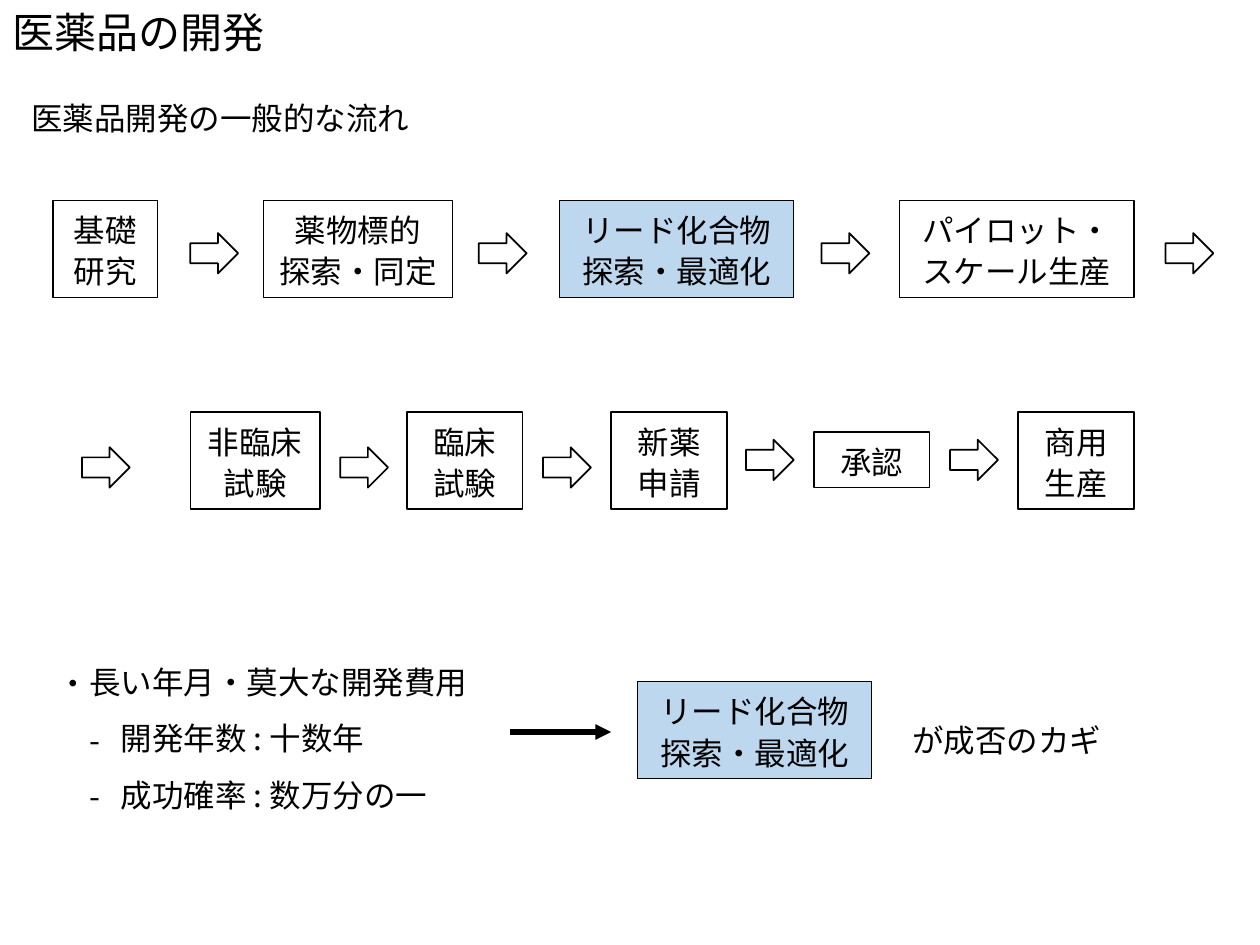
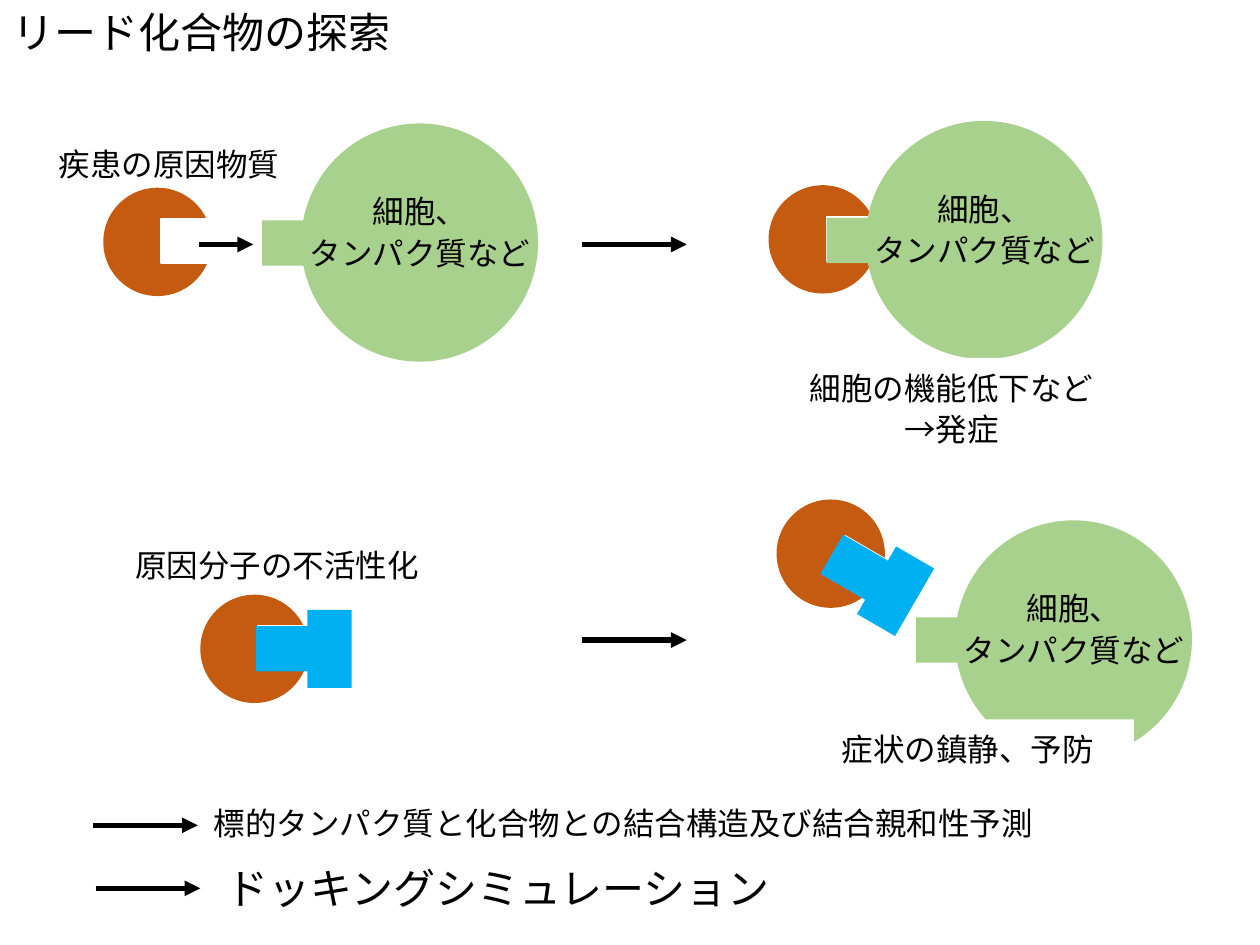
"""Build two slides on drug development and the search for lead compounds."""
from dataclasses import dataclass

from lxml.etree import SubElement
from pptx import Presentation
from pptx.dml.color import RGBColor
from pptx.enum.shapes import MSO_CONNECTOR, MSO_SHAPE
from pptx.enum.text import MSO_ANCHOR, MSO_AUTO_SIZE, PP_ALIGN
from pptx.oxml.ns import qn
from pptx.util import Inches, Pt


@dataclass(frozen=True)
class Theme:
    font: str = "Noto Sans CJK JP"
    title_size: Pt = Pt(24)
    text_size: Pt = Pt(18)
    line_spacing: Pt = Pt(23.6)
    ink: RGBColor = RGBColor(0x00, 0x00, 0x00)
    paper: RGBColor = RGBColor(0xFF, 0xFF, 0xFF)
    highlight: RGBColor = RGBColor(0xBD, 0xD7, 0xEE)
    cause: RGBColor = RGBColor(0xC5, 0x5A, 0x11)
    cell: RGBColor = RGBColor(0xA9, 0xD1, 0x8E)
    drug: RGBColor = RGBColor(0x00, 0xB0, 0xF0)


class Deck:
    def __init__(self, theme):
        self.theme = theme
        self.presentation = Presentation()
        self.presentation.slide_width = Inches(10)
        self.presentation.slide_height = Inches(7.5)
        self.slide = None

    def new_slide(self, layout_index, title, title_width):
        layout = self.presentation.slide_layouts[layout_index]
        self.slide = self.presentation.slides.add_slide(layout)
        shape = self.slide.shapes.title
        self.place(shape, 0, 0, title_width, 0.5)
        self.fill_text(shape, [title], size=self.theme.title_size, spacing=1.0, wrap=False)

    def place(self, shape, left, top, width, height):
        shape.left, shape.top = Inches(left), Inches(top)
        shape.width, shape.height = Inches(width), Inches(height)

    def fill_text(self, shape, lines, size=None, align=PP_ALIGN.LEFT, spacing=None,
                  wrap=True, anchor=MSO_ANCHOR.TOP):
        frame = shape.text_frame
        frame.word_wrap = wrap
        frame.auto_size = MSO_AUTO_SIZE.NONE
        frame.vertical_anchor = anchor
        for index, line in enumerate(lines):
            paragraph = frame.paragraphs[0] if index == 0 else frame.add_paragraph()
            paragraph.alignment = align
            paragraph.line_spacing = spacing or self.theme.line_spacing
            paragraph.space_before = Pt(0)
            run = paragraph.add_run()
            run.text = line
            run.font.name = self.theme.font
            run.font.size = size or self.theme.text_size
            run.font.color.rgb = self.theme.ink
            east_asian = SubElement(run.font._element, qn("a:ea"))
            east_asian.set("typeface", self.theme.font)

    def text(self, left, top, width, height, lines, **style):
        box = self.slide.shapes.add_textbox(
            Inches(left), Inches(top), Inches(width), Inches(height))
        self.fill_text(box, lines, **style)

    def bullets(self, left, top, width, height, items):
        body = self.slide.placeholders[1]
        self.place(body, left, top, width, height)
        self.fill_text(body, [line for _, line in items], spacing=1.5)
        for paragraph, (level, _) in zip(body.text_frame.paragraphs, items):
            properties = paragraph._element.get_or_add_pPr()
            properties.set("marL", str(Inches(0.25 * (level + 1))))
            properties.set("indent", str(-Inches(0.25)))
            SubElement(properties, qn("a:buFont")).set("typeface", self.theme.font)
            SubElement(properties, qn("a:buChar")).set("char", "・-"[level])

    def shape(self, kind, left, top, width, height, fill=None, line=None,
              line_width=1, group=None):
        shape = (group or self.slide).shapes.add_shape(
            kind, Inches(left), Inches(top), Inches(width), Inches(height))
        shape.shadow.inherit = False
        if fill is None:
            shape.fill.background()
        else:
            shape.fill.solid()
            shape.fill.fore_color.rgb = fill
        if line is None:
            shape.line.fill.background()
        else:
            shape.line.color.rgb = line
            shape.line.width = Pt(line_width)
        return shape

    def box(self, left, top, width, height, lines, **look):
        shape = self.shape(MSO_SHAPE.RECTANGLE, left, top, width, height, **look)
        self.fill_text(shape, lines, align=PP_ALIGN.CENTER, anchor=MSO_ANCHOR.MIDDLE)

    def step(self, left, top, width, lines, height=0.77, fill=None):
        self.box(left, top, width, height, lines, fill=fill,
                 line=self.theme.ink, line_width=0.75)

    def caption(self, left, top, width, height, lines):
        self.box(left, top, width, height, lines, fill=self.theme.paper)

    def block_arrow(self, left, top):
        self.shape(MSO_SHAPE.RIGHT_ARROW, left, top, 0.38, 0.32, line=self.theme.ink)

    def arrow(self, left, top, length=0.83):
        connector = self.slide.shapes.add_connector(
            MSO_CONNECTOR.STRAIGHT, Inches(left), Inches(top),
            Inches(left + length), Inches(top))
        connector.line.color.rgb = self.theme.ink
        connector.line.width = Pt(3)
        properties = connector._element.spPr
        SubElement(properties.find(qn("a:ln")), qn("a:tailEnd")).set("type", "triangle")
        SubElement(properties, qn("a:effectLst"))

    def cause(self, left, top):
        group = self.slide.shapes.add_group_shape()
        self.shape(MSO_SHAPE.OVAL, left, top, 0.86, 0.86,
                   fill=self.theme.cause, group=group)
        self.shape(MSO_SHAPE.RECTANGLE, left + 0.46, top + 0.25, 0.61, 0.35,
                   fill=self.theme.paper, line=self.theme.paper, group=group)
        return group

    def blocked_cause(self, left, top, rotation=0):
        group = self.cause(left, top)
        for offset_x, offset_y, width, height in (
                (0.44, 0.25, 0.61, 0.36), (0.85, 0.12, 0.35, 0.62)):
            self.shape(MSO_SHAPE.RECTANGLE, left + offset_x, top + offset_y,
                       width, height, fill=self.theme.drug, group=group)
        group.rotation = rotation

    def cell(self, left, top):
        group = self.slide.shapes.add_group_shape()
        self.shape(MSO_SHAPE.OVAL, left, top, 1.88, 1.89,
                   fill=self.theme.cell, group=group)
        self.shape(MSO_SHAPE.RECTANGLE, left - 0.31, top + 0.77, 0.61, 0.36,
                   fill=self.theme.cell, group=group)
        self.text(left - 0.12, top + 0.47, 2.13, 0.77,
                  ["細胞、", "タンパク質など"], align=PP_ALIGN.CENTER)


def build_development_flow(deck):
    deck.new_slide(1, "医薬品の開発", 2.22)
    deck.text(0.15, 0.71, 4.35, 0.44, ["医薬品開発の一般的な流れ"])

    lead_compound = ["リード化合物探索・最適化"]
    highlight = deck.theme.highlight
    deck.step(0.42, 1.59, 0.83, ["基礎研究"])
    deck.step(2.09, 1.59, 1.5, ["薬物標的", "探索・同定"])
    deck.step(4.44, 1.59, 1.86, lead_compound, fill=highlight)
    deck.step(7.14, 1.59, 1.86, ["パイロット・スケール生産"])
    deck.step(1.51, 3.27, 1.03, ["非臨床試験"])
    deck.step(3.23, 3.27, 0.92, ["臨床試験"])
    deck.step(4.85, 3.27, 0.92, ["新薬申請"])
    deck.step(6.46, 3.43, 0.92, ["承認"], height=0.44)
    deck.step(8.08, 3.27, 0.92, ["商用生産"])
    for top, lefts in ((1.85, (1.51, 3.8, 6.52, 9.25)),
                       (3.55, (0.65, 2.7, 4.31)),
                       (3.49, (5.92, 7.54))):
        for left in lefts:
            deck.block_arrow(left, top)

    deck.bullets(0.36, 5.06, 4.35, 1.46, [
        (0, "長い年月・莫大な開発費用"),
        (1, "開発年数 : 十数年"),
        (1, "成功確率 : 数万分の一"),
    ])
    deck.arrow(4.05, 5.81, 0.8)
    deck.step(5.06, 5.41, 1.86, lead_compound, fill=highlight)
    deck.text(7.14, 5.52, 4.35, 0.56, ["が成否のカギ"], spacing=1.5)


def build_lead_search(deck):
    deck.new_slide(5, "リード化合物の探索", 3.23)

    deck.caption(-0.15, 1.07, 2.98, 0.44, ["疾患の原因物質"])
    deck.cause(0.82, 1.49)
    deck.cell(2.39, 0.98)
    deck.arrow(1.58, 1.94, 0.43)
    deck.arrow(4.62, 1.94)
    deck.cause(6.1, 1.47)
    deck.cell(6.87, 0.96)
    deck.caption(6.23, 2.84, 2.64, 0.77, ["細胞の機能低下など", "→発症"])

    deck.blocked_cause(1.59, 4.72)
    deck.caption(0.6, 4.25, 3.2, 0.44, ["原因分子の不活性化"])
    deck.arrow(4.62, 5.08)
    deck.cell(7.58, 4.13)
    deck.blocked_cause(6.14, 4.05, rotation=30.1)
    deck.caption(6.36, 5.71, 2.64, 0.44, ["症状の鎮静、予防"])

    deck.arrow(0.74, 6.55)
    deck.text(1.6, 6.33, 6.77, 0.4,
              ["標的タンパク質と化合物との結合構造及び結合親和性予測"],
              spacing=1.0, wrap=False)
    deck.arrow(0.76, 7.05)
    deck.text(1.7, 6.8, 4.58, 0.5, ["ドッキングシミュレーション"],
              size=deck.theme.title_size, spacing=1.0, wrap=False)


def main():
    deck = Deck(Theme())
    build_development_flow(deck)
    build_lead_search(deck)
    deck.presentation.save("out.pptx")


if __name__ == "__main__":
    main()
